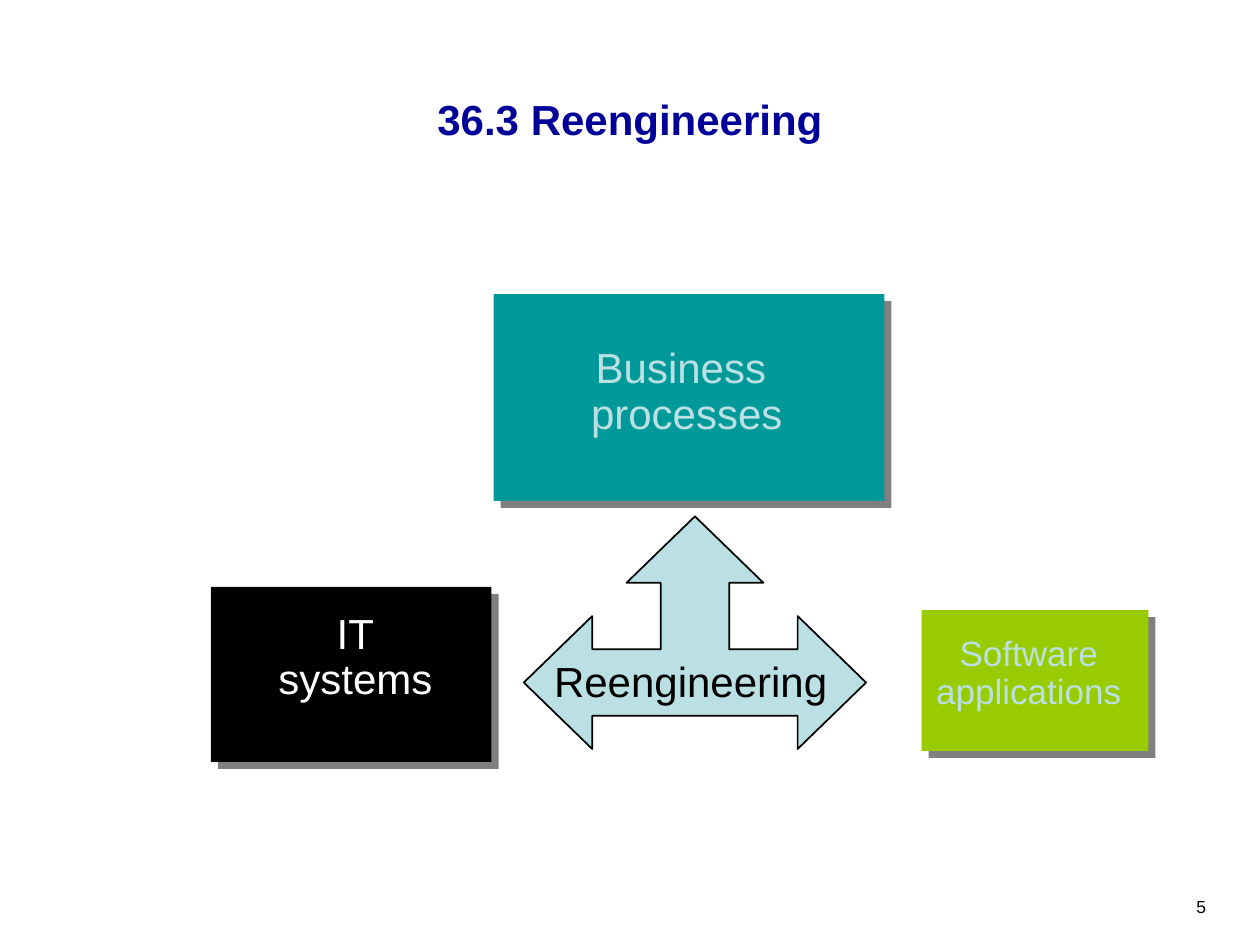
from lxml.etree import SubElement
from pptx import Presentation
from pptx.dml.color import RGBColor
from pptx.enum.shapes import MSO_SHAPE as Shape
from pptx.enum.text import MSO_ANCHOR as Anchor, MSO_AUTO_SIZE as Fit, PP_ALIGN as Align
from pptx.oxml.ns import qn
from pptx.util import Cm, Pt

HUES = {"navy": "000099", "teal": "009999", "black": "000000", "lime": "99CC00",
        "pale": "BBE0E3", "white": "FFFFFF", "gray": "808080"}


def rgb(name):
    return RGBColor.from_string(HUES[name])


def write(box, text, size, hue, align, space=0.9, bold=False):
    box.text_frame.text = text
    for para in box.text_frame.paragraphs:
        para.alignment = align
        para.line_spacing = space
        for run in para.runs:
            font = run.font
            font.name, font.size, font.bold = "Arial", Pt(size), bold
            font.color.rgb = rgb(hue)


deck = Presentation()
deck.slide_width, deck.slide_height = Cm(25.4), Cm(19.05)
slide = deck.slides.add_slide(deck.slide_layouts[5])
shapes = slide.shapes

# Title
title = shapes.title
title.left, title.top, title.width, title.height = Cm(3.39), Cm(1.27), Cm(18.62), Cm(1.75)
write(title, "36.3 Reengineering", 24, "navy", Align.CENTER, 1.0, True)
title.text_frame.vertical_anchor = Anchor.BOTTOM
title.text_frame.auto_size = Fit.NONE

# Slide number
number = shapes.add_textbox(Cm(20.96), Cm(17.35), Cm(3.6), Cm(1.27))
write(number, "5", 10, "black", Align.RIGHT, 1.0)
number.text_frame.word_wrap = True
number.text_frame.vertical_anchor = Anchor.BOTTOM

# Blocks with a hard shadow to the lower right
blocks = [("teal", 9.95, 5.93, 7.88, 4.17),
          ("black", 4.25, 11.83, 5.66, 3.53),
          ("lime", 18.58, 12.3, 4.57, 2.84)]
for hue, *place in blocks:
    block = shapes.add_shape(Shape.RECTANGLE, *map(Cm, place))
    block.fill.solid()
    block.fill.fore_color.rgb = rgb(hue)
    block.line.fill.background()
    block.shadow.inherit = False
    effects = block.element.spPr.find(qn("a:effectLst"))
    shade = SubElement(effects, qn("a:outerShdw"), dist=str(Pt(5.7)),
                       dir="2700000", algn="ctr", rotWithShape="0")
    SubElement(shade, qn("a:srgbClr"), val=HUES["gray"])

# Three-way arrow on a 10 by 7 grid, mirrored about its middle
half = [(5, 0), (3, 2), (4, 2), (4, 4), (2, 4), (2, 3), (0, 5), (2, 7), (2, 6)]
points = half + [(10 - x, y) for x, y in half[:0:-1]]
pen = shapes.build_freeform(*points[0], scale=(Cm(0.69), Cm(0.67)))
pen.add_line_segments(points[1:], close=True)
arrow = pen.convert_to_shape(Cm(10.56), Cm(10.41))
arrow.fill.solid()
arrow.fill.fore_color.rgb = rgb("pale")
arrow.line.color.rgb = rgb("black")
arrow.line.width = Pt(1)
arrow.shadow.inherit = False

# Labels
labels = [("Business \nprocesses", 24, "pale", Align.CENTER, 11.66, 6.88, 4.37, 2.08),
          ("IT\nsystems", 24, "white", Align.CENTER, 5.36, 12.24, 3.61, 2.08),
          ("Software\napplications", 20, "pale", Align.CENTER, 18.62, 12.7, 4.24, 1.78),
          ("Reengineering", 24, "black", Align.LEFT, 10.92, 13.21, 6.02, 1.17)]
for text, size, hue, align, *place in labels:
    label = shapes.add_textbox(*map(Cm, place))
    write(label, text, size, hue, align)
    label.text_frame.word_wrap = False
    label.text_frame.auto_size = Fit.SHAPE_TO_FIT_TEXT

deck.save("out.pptx")
